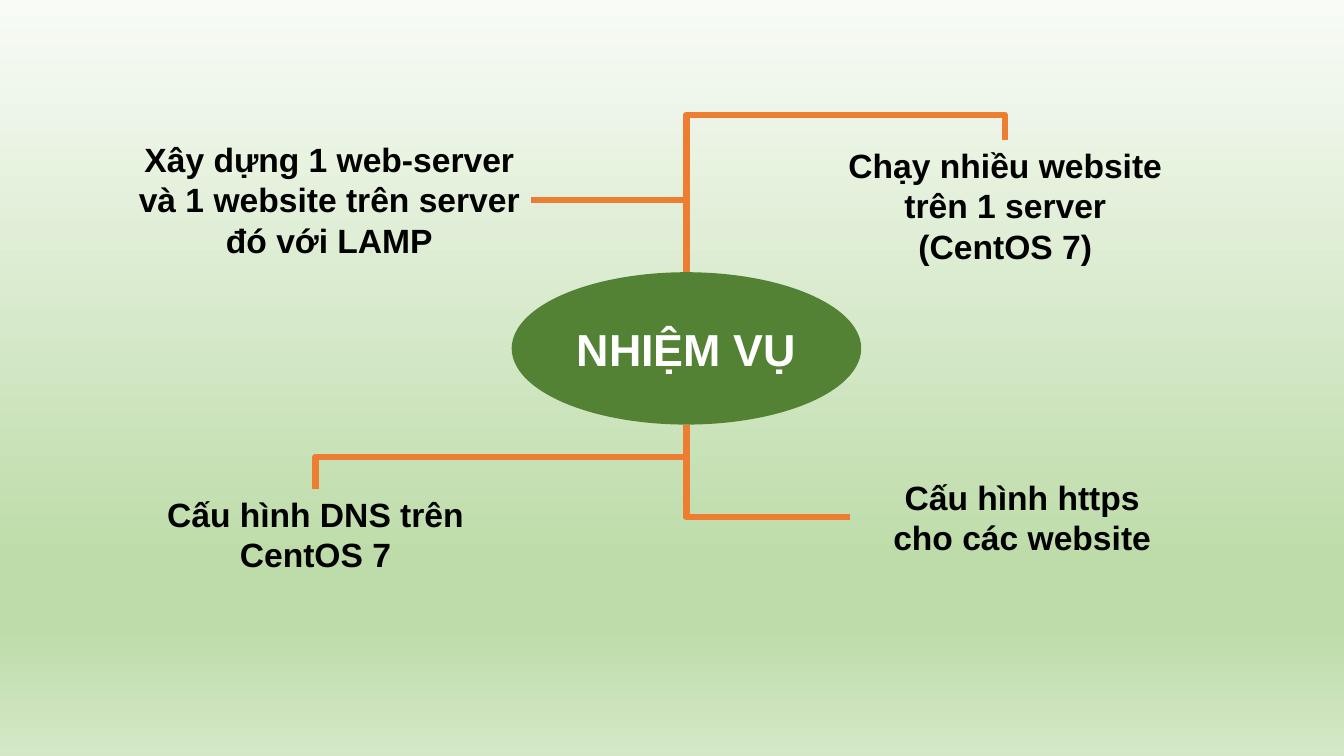
"""Build a mind-map slide with four tasks around a central ellipse."""
import copy
from typing import NamedTuple, Optional

import lxml.etree
import pptx
import pptx.dml.color
import pptx.enum.shapes
import pptx.enum.text
import pptx.oxml.ns
import pptx.util

Cm = pptx.util.Cm
Pt = pptx.util.Pt
qn = pptx.oxml.ns.qn

FONT = "Arial"
CENTER_X, HUB_TOP, HUB_WIDTH, HUB_HEIGHT = 17.3, 6.86, 8.81, 3.84
HUB_BOTTOM = HUB_TOP + HUB_HEIGHT


class Task(NamedTuple):
    text: str
    left: float
    top: float
    width: float
    height: float


class Branch(NamedTuple):
    start_y: float
    end_x: float
    end_y: float
    preset: str
    rotation: int
    bend: Optional[int] = None


TASKS = [
    Task("Xây dựng 1 web-server và 1 website trên server đó với LAMP", 3.18, 3.38, 10.24, 3.33),
    Task("Chạy nhiều website trên 1 server (CentOS 7)", 20.8, 3.53, 9.07, 3.33),
    Task("Cấu hình DNS trên CentOS 7", 3.76, 12.32, 8.38, 2.31),
    Task("Cấu hình https cho các website", 21.72, 11.89, 8.08, 2.31),
]
BRANCHES = [
    Branch(HUB_TOP, 25.32, 3.53, "bentConnector3", 90, 119100),
    Branch(HUB_TOP, 13.39, 5.05, "bentConnector2", 270),
    Branch(HUB_BOTTOM, 7.95, 12.32, "bentConnector3", 90, 50000),
    Branch(HUB_BOTTOM, 21.41, 13.03, "bentConnector2", 270),
]
BACKGROUND = [(0, "F8FBF6"), (0.74, "BEDCAA"), (0.83, "BEDCAA"), (1, "D4E8C6")]


def color(value: str) -> pptx.dml.color.RGBColor:
    return pptx.dml.color.RGBColor.from_string(value)


def paint_background(s: pptx.slide.Slide) -> None:
    fill = s.background.fill
    fill.gradient()
    fill.gradient_angle = 270
    stops = s.element.find(".//" + qn("a:gsLst"))
    while len(stops) < len(BACKGROUND):
        stops.append(copy.deepcopy(stops[0]))
    for stop, (position, value) in zip(fill.gradient_stops, BACKGROUND):
        stop.position = position
        stop.color.rgb = color(value)


def write(tf: pptx.text.text.TextFrame, text: str, size: int, value: str) -> None:
    tf.text = text
    tf.word_wrap = True
    p = tf.paragraphs[0]
    p.alignment = pptx.enum.text.PP_ALIGN.CENTER
    font = p.runs[0].font
    font.name, font.size, font.bold = FONT, Pt(size), True
    font.color.rgb = color(value)


def add_branch(s: pptx.slide.Slide, branch: Branch) -> None:
    mid_x = (CENTER_X + branch.end_x) / 2
    mid_y = (branch.start_y + branch.end_y) / 2
    turn = 1 if branch.rotation == 90 else -1
    dx = turn * (branch.start_y - mid_y)
    dy = turn * (mid_x - CENTER_X)
    sp = s.shapes.add_connector(
        pptx.enum.shapes.MSO_CONNECTOR.ELBOW,
        Cm(mid_x + dx), Cm(mid_y + dy), Cm(mid_x - dx), Cm(mid_y - dy))
    sp.line.color.rgb = color("ED7D31")
    sp.line.width = Pt(4.5)
    props = sp.element.spPr
    props.find(qn("a:xfrm")).set("rot", str(branch.rotation * 60000))
    geometry = props.find(qn("a:prstGeom"))
    geometry.set("prst", branch.preset)
    if branch.bend is not None:
        guides = geometry.find(qn("a:avLst"))
        lxml.etree.SubElement(guides, qn("a:gd"), name="adj1", fmla=f"val {branch.bend}")
    lxml.etree.SubElement(props, qn("a:effectLst"))


def add_hub(s: pptx.slide.Slide) -> None:
    sp = s.shapes.add_shape(
        pptx.enum.shapes.MSO_SHAPE.OVAL,
        Cm(CENTER_X - HUB_WIDTH / 2), Cm(HUB_TOP), Cm(HUB_WIDTH), Cm(HUB_HEIGHT))
    sp.shadow.inherit = False
    sp.fill.solid()
    sp.fill.fore_color.rgb = color("548235")
    sp.line.fill.background()
    sp.text_frame.vertical_anchor = pptx.enum.text.MSO_ANCHOR.MIDDLE
    write(sp.text_frame, "NHIỆM VỤ", 32, "FFFFFF")


def add_task(s: pptx.slide.Slide, task: Task) -> None:
    sp = s.shapes.add_textbox(Cm(task.left), Cm(task.top), Cm(task.width), Cm(task.height))
    write(sp.text_frame, task.text, 24, "000000")
    sp.text_frame.auto_size = pptx.enum.text.MSO_AUTO_SIZE.SHAPE_TO_FIT_TEXT


def main() -> None:
    prs = pptx.Presentation()
    prs.slide_width, prs.slide_height = Cm(33.87), Cm(19.05)
    s = prs.slides.add_slide(prs.slide_layouts[6])
    paint_background(s)
    for branch in BRANCHES:
        add_branch(s, branch)
    add_hub(s)
    for task in TASKS:
        add_task(s, task)
    prs.save("out.pptx")


if __name__ == "__main__":
    main()
